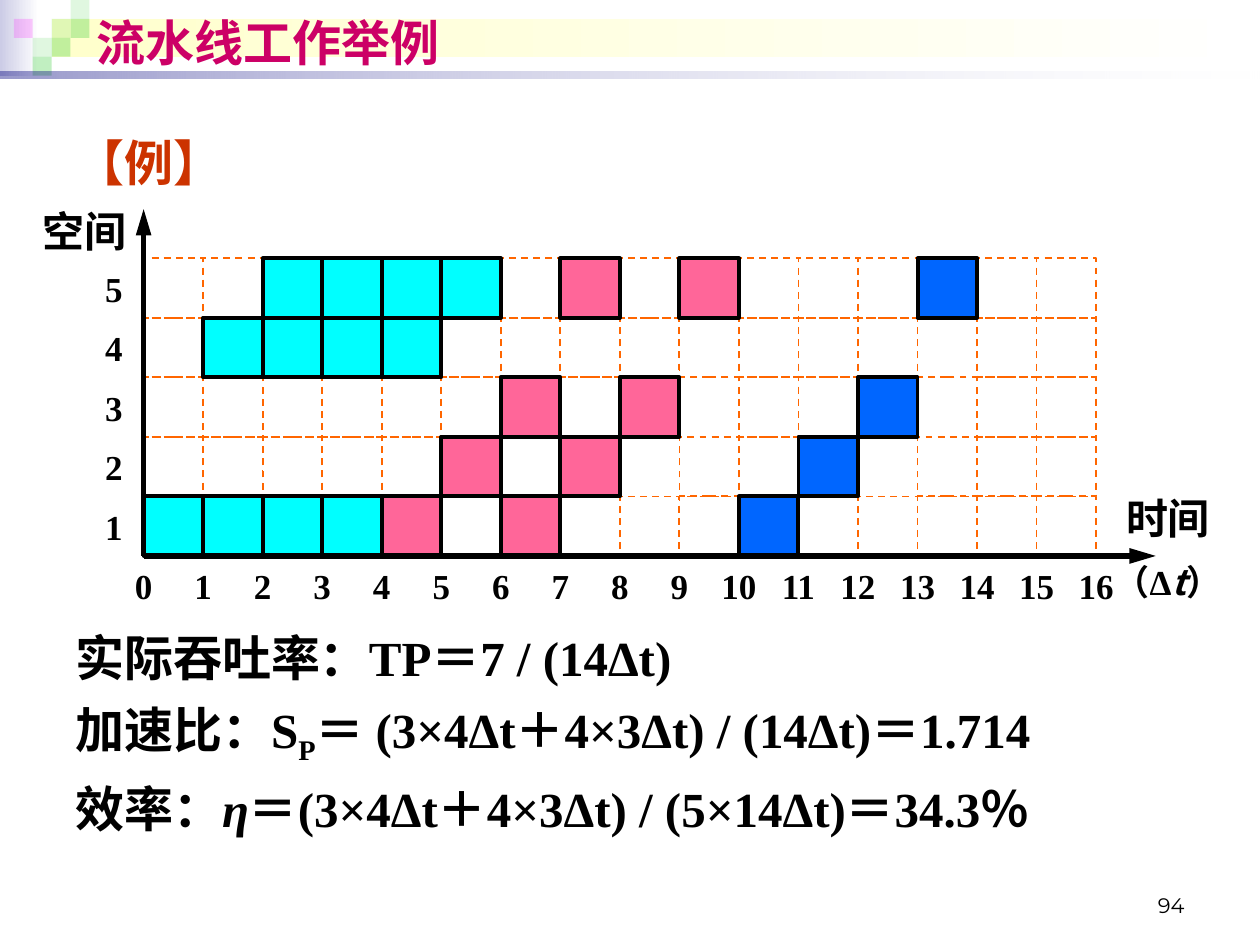
from lxml import etree
from pptx import Presentation
from pptx import util as u
from pptx.dml.color import RGBColor
from pptx.enum import dml, shapes, text
from pptx.oxml.ns import qn

TIMES, CJK = "Times New Roman", "Noto Sans CJK SC"
CELL, LEFT, TOP = 0.4725, 1.14, 2.05  # time-space grid, in inches
COLUMNS, ROWS = 16, 5
BASE = TOP + ROWS * CELL
TILE = 0.15  # header mosaic

prs = Presentation()
prs.slide_width, prs.slide_height = u.Inches(10), u.Inches(7.5)
slide = prs.slides.add_slide(prs.slide_layouts[6])


def paint(color, value):
    """Set a colour from a hex string."""
    color.rgb = RGBColor.from_string(value)


def write(left, top, width, height, paragraphs, size=20, color="000000", font=TIMES, bold=True,
          align=text.PP_ALIGN.CENTER, anchor=text.MSO_ANCHOR.TOP, gap=0):
    """Add a text box; each run is (words, changes to size, font, italic or baseline)."""
    box = slide.shapes.add_textbox(*map(u.Inches, (left, top, width, height)))
    frame = box.text_frame
    frame.word_wrap, frame.vertical_anchor = True, anchor
    for number, runs in enumerate(paragraphs):
        paragraph = frame.add_paragraph() if number else frame.paragraphs[0]
        paragraph.alignment = align
        if number:
            paragraph.space_before = u.Pt(gap)
        for words, changes in runs:
            run = paragraph.add_run()
            run.text = words
            run.font.name = changes.get("font", font)
            run.font.size = u.Pt(changes.get("size", size))
            run.font.bold, run.font.italic = bold, changes.get("italic", False)
            paint(run.font.color, color)
            properties = run.font._element
            etree.SubElement(properties, qn("a:ea"), typeface=CJK)
            if "baseline" in changes:
                properties.set("baseline", str(changes["baseline"] * 1000))
    return frame


# Header: two (colour, opacity) stops make a gradient, a single one a plain tile
header = [
    (0, 0, 0.31, 0.6, [("CCCCE6", 100), ("FFFFFF", 100)]),
    (0.41, TILE, 9.55, 0.3, [("FFFFCC", 100), ("FFFFFF", 100)]),
]
tiles = [(2, 1, "33CC33", 15), (3, 0, "33CC33", 15), (3, 1, "33CC33", 30), (1, 2, "33CC33", 15),
         (0, 1, "FF00FF", 20), (2, 2, "33CC33", 30), (1, 3, "33CC33", 30)]
header += [(0.11 + column * TILE, row * TILE, TILE, TILE, [(color, alpha)])
           for column, row, color, alpha in tiles]
header.append((0, 0.57, 10, 0.05, [("00007D", 40), ("FFFFFF", 10)]))

for *place, stops in header:
    band = slide.shapes.add_shape(shapes.MSO_SHAPE.RECTANGLE, *map(u.Inches, place))
    band.shadow.inherit = False
    band.line.fill.background()
    if len(stops) == 2:
        band.fill.gradient()
        band.fill.gradient_angle = 0
        targets = [stop.color for stop in band.fill.gradient_stops]
    else:
        band.fill.solid()
        targets = [band.fill.fore_color]
    for target, (color, alpha) in zip(targets, stops):
        paint(target, color)
    for rgb, (color, alpha) in zip(band._element.spPr.iter(qn("a:srgbClr")), stops):
        etree.SubElement(rgb, qn("a:alpha"), val=str(alpha * 1000))

write(0.67, 0.06, 8.82, 0.55, [[("流水线工作举例", {})]], size=28, color="CC0066", font="Arial",
      align=text.PP_ALIGN.LEFT, anchor=text.MSO_ANCHOR.MIDDLE)

# Which time slots each group of tasks fills, by pipeline stage
schedule = {
    "00FFFF": {1: [0, 1, 2, 3], 4: [1, 2, 3, 4], 5: [2, 3, 4, 5]},
    "FF6699": {1: [4, 6], 2: [5, 7], 3: [6, 8], 5: [7, 9]},
    "0066FF": {1: [10], 2: [11], 3: [12], 5: [13]},
}
busy = [(stage, slot, color) for color, stages in schedule.items()
        for stage, slots in stages.items() for slot in slots]
taken = {(stage, slot) for stage, slot, _ in busy}
# Empty slots that their neighbours already outline
taken |= {(stage, first + stage) for stage in (1, 2, 3) for first in (6, 10)}
idle = [(stage, slot, None) for stage in range(1, ROWS + 1) for slot in range(COLUMNS)
        if (stage, slot) not in taken]

for stage, slot, color in idle + busy:
    cell = slide.shapes.add_shape(
        shapes.MSO_SHAPE.RECTANGLE, u.Inches(LEFT + slot * CELL), u.Inches(BASE - stage * CELL),
        u.Inches(CELL), u.Inches(CELL))
    cell.shadow.inherit = False
    cell.line.fill.solid()
    paint(cell.line.color, "000000" if color else "FF6600")
    cell.line.width = u.Pt(2.25 if color else 1)
    if color:
        cell.fill.solid()
        paint(cell.fill.fore_color, color)
    else:
        cell.fill.background()
        cell.line.dash_style = dml.MSO_LINE.DASH

for end_x, end_y in [(LEFT + 17 * CELL, BASE), (LEFT, 1.66)]:
    axis = slide.shapes.add_connector(
        shapes.MSO_CONNECTOR.STRAIGHT, *map(u.Inches, (LEFT, BASE, end_x, end_y)))
    paint(axis.line.color, "000000")
    axis.line.width = u.Pt(3)
    etree.SubElement(axis.line._get_or_add_ln(), qn("a:tailEnd"), type="triangle", len="lg")
    etree.SubElement(axis._element.spPr, qn("a:effectLst"))

ticks = [(LEFT + (slot - 0.5) * CELL, BASE, slot) for slot in range(COLUMNS + 1)]
ticks += [(LEFT - CELL, BASE - stage * CELL, stage) for stage in range(1, ROWS + 1)]
for left, top, number in ticks:
    label = write(left, top, CELL, CELL, [[(str(number), {})]], anchor=text.MSO_ANCHOR.MIDDLE)
    label.margin_left = label.margin_right = 0

write(8.66, 3.86, 1.22, 1, [
    [("时间", {"size": 24})],
    [("（Δ", {}), ("t", {"font": CJK, "italic": True}), ("）", {})],
], gap=10)
write(0.16, 1.58, 1.02, 0.5, [[("空间", {})]], size=24)

# Example heading and the three results
statements = [
    (1, "CC3300", [("【例】", {})]),
    (4.93, "000000", [("实际吞吐率：TP＝7 / (14Δt)", {})]),
    (5.5, "000000", [("加速比：S", {}), ("P", {"baseline": -25}),
                     ("＝ (3×4Δt＋4×3Δt) / (14Δt)＝1.714", {})]),
    (6.13, "000000", [("效率：", {}), ("η", {"italic": True}),
                      ("＝(3×4Δt＋4×3Δt) / (5×14Δt)＝34.3％", {})]),
]
for top, color, runs in statements:
    write(0.5, top, 9.23, 0.66, [runs], size=28, color=color, align=text.PP_ALIGN.LEFT)

write(7.17, 6.83, 2.33, 0.5, [[("94", {})]], size=12, font="Montserrat", bold=False,
      align=text.PP_ALIGN.RIGHT, anchor=text.MSO_ANCHOR.BOTTOM)

prs.save("out.pptx")
